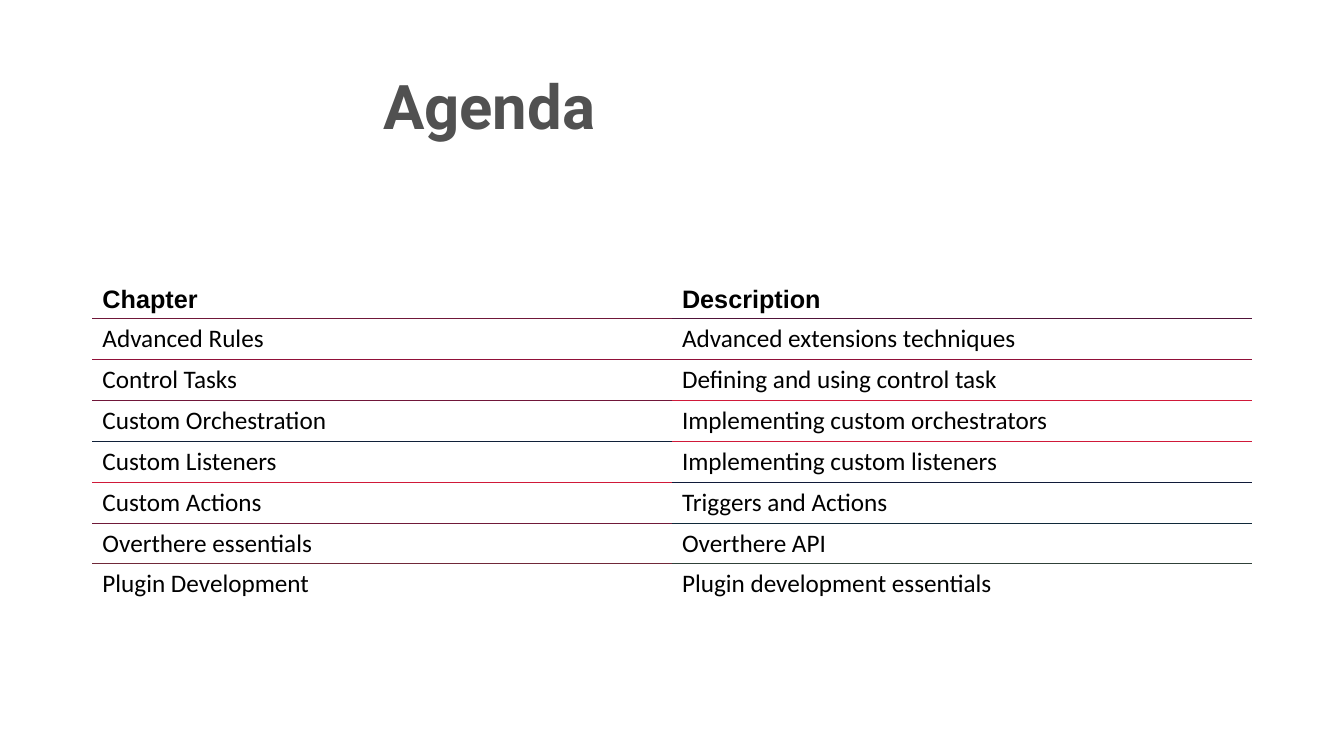
from lxml import etree
from pptx import Presentation, util as u
from pptx.dml.color import RGBColor
from pptx.enum import text
from pptx.oxml import ns

WHITE = RGBColor(0xFF, 0xFF, 0xFF)
BLACK = RGBColor(0x00, 0x00, 0x00)
GREY = RGBColor(0x51, 0x51, 0x51)

AGENDA = [
    ("Chapter", "Description"),
    ("Advanced Rules", "Advanced extensions techniques"),
    ("Control Tasks", "Defining and using control task"),
    ("Custom Orchestration", "Implementing custom orchestrators"),
    ("Custom Listeners", "Implementing custom listeners"),
    ("Custom Actions", "Triggers and Actions"),
    ("Overthere essentials", "Overthere API"),
    ("Plugin Development", "Plugin development essentials"),
]

# Rule colours below each row but the last, left and right column
RULES = [
    (RGBColor(0x70, 0x17, 0x39), RGBColor(0x50, 0x13, 0x39)),
    (RGBColor(0x90, 0x11, 0x39), RGBColor(0x90, 0x10, 0x39)),
    (RGBColor(0x70, 0x16, 0x39), RGBColor(0xD0, 0x19, 0x39)),
    (RGBColor(0x10, 0x20, 0x39), RGBColor(0xD0, 0x19, 0x39)),
    (RGBColor(0xD0, 0x19, 0x39), RGBColor(0x10, 0x1A, 0x39)),
    (RGBColor(0x70, 0x1A, 0x39), RGBColor(0x10, 0x29, 0x39)),
    (RGBColor(0x70, 0x29, 0x39), RGBColor(0x30, 0x41, 0x39)),
]


class AgendaSlide:
    title_font, header_font, body_font = "Roboto", "Arial", "Calibri"
    title_size, table_size, rule_width = 44, 18, 0.75

    def __init__(self, presentation):
        self.slide = presentation.slides.add_slide(presentation.slide_layouts[6])

    def format_text(self, frame, font, size, color, bold):
        for paragraph in frame.paragraphs:
            for run in paragraph.runs:
                run.font.name = font
                run.font.size = u.Pt(size)
                run.font.color.rgb = color
                run.font.bold = bold

    def title(self, wording, left, top, width, height):
        shape = self.slide.shapes.add_textbox(
            u.Pt(left), u.Pt(top), u.Pt(width), u.Pt(height))
        shape.fill.solid()
        shape.fill.fore_color.rgb = WHITE
        frame = shape.text_frame
        frame.word_wrap = True
        frame.vertical_anchor = text.MSO_ANCHOR.TOP
        frame.margin_left = frame.margin_right = frame.margin_top = 0
        frame.margin_bottom = u.Pt(14.4)
        frame.text = wording
        self.format_text(frame, self.title_font, self.title_size, GREY, True)

    def border(self, cell, side, color=None):
        line = etree.SubElement(cell._tc.get_or_add_tcPr(), ns.qn("a:" + side))
        if color is None:
            line.set("w", "0")
            etree.SubElement(line, ns.qn("a:noFill"))
            return
        line.set("w", str(u.Pt(self.rule_width)))
        fill = etree.SubElement(line, ns.qn("a:solidFill"))
        etree.SubElement(fill, ns.qn("a:srgbClr"), val=str(color))

    def table(self, rows, rules, left, top, column_width, header_height, row_height):
        columns = len(rows[0])
        height = header_height + row_height * (len(rows) - 1)
        table = self.slide.shapes.add_table(
            len(rows), columns, u.Pt(left), u.Pt(top),
            u.Pt(column_width * columns), u.Pt(height)).table
        table.horz_banding = False
        for column in table.columns:
            column.width = u.Pt(column_width)
        for i, wordings in enumerate(rows):
            header = i == 0
            table.rows[i].height = u.Pt(header_height if header else row_height)
            for j, wording in enumerate(wordings):
                cell = table.cell(i, j)
                cell.text_frame.text = wording
                cell.vertical_anchor = text.MSO_ANCHOR.MIDDLE
                font = self.header_font if header else self.body_font
                self.format_text(cell.text_frame, font, self.table_size, BLACK, header)
                # Borders come before the fill in the cell properties
                self.border(cell, "lnL")
                self.border(cell, "lnR")
                self.border(cell, "lnT", None if header else rules[i - 1][j])
                self.border(cell, "lnB", rules[i][j] if i < len(rules) else None)
                cell.fill.solid()
                cell.fill.fore_color.rgb = WHITE


def main():
    presentation = Presentation()
    presentation.slide_width = u.Pt(960)
    presentation.slide_height = u.Pt(540)
    agenda = AgendaSlide(presentation)

    # Chapter overview
    agenda.table(AGENDA, RULES, left=66, top=200, column_width=414,
                 header_height=27.6, row_height=29.2)
    # Heading
    agenda.title("Agenda", left=273.6, top=48.5, width=566, height=89)

    presentation.save("out.pptx")


if __name__ == "__main__":
    main()
